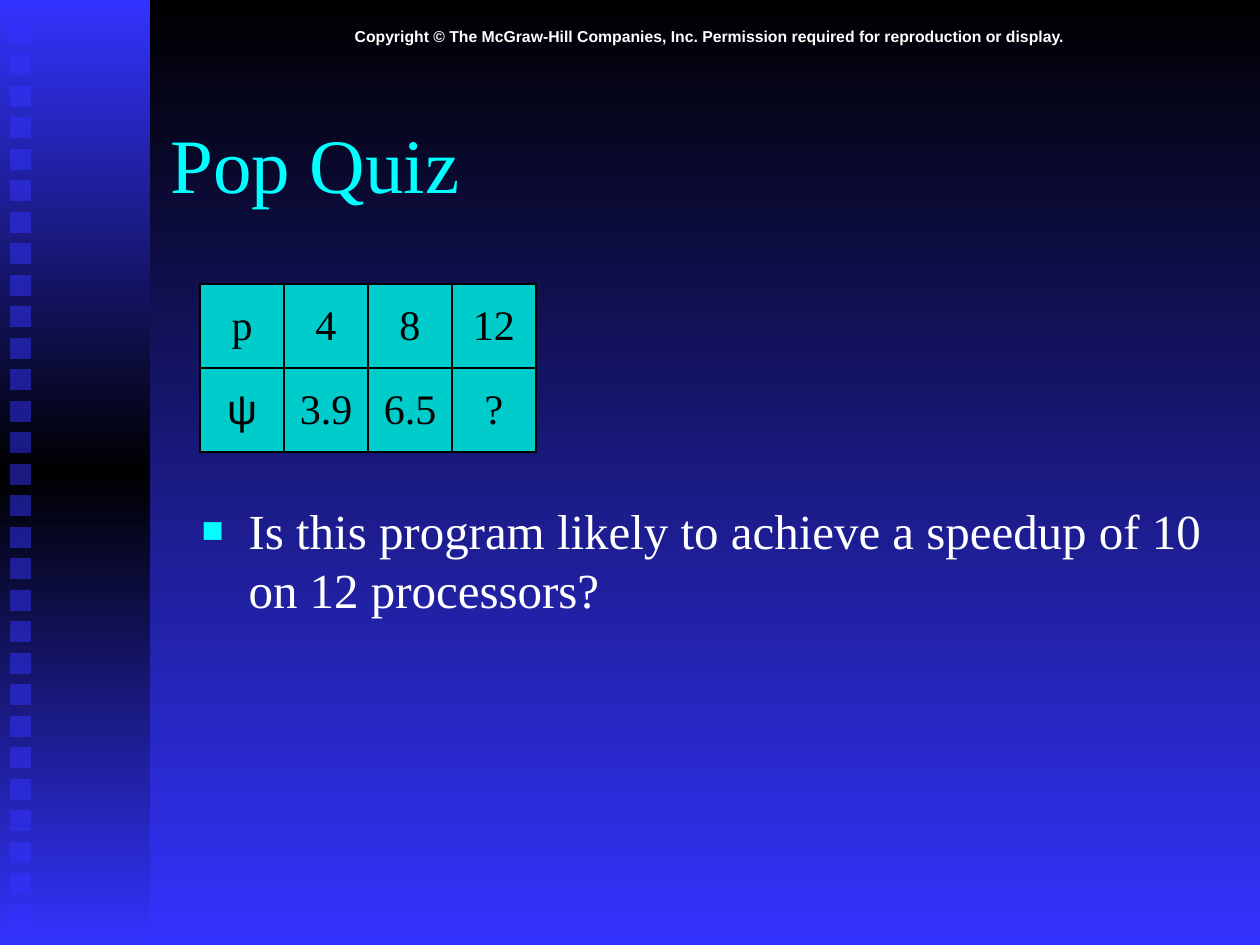
"""Build the Pop Quiz slide on speedup and processor counts."""
from copy import deepcopy

from lxml.etree import SubElement
from pptx import Presentation
from pptx.dml.color import RGBColor
from pptx.enum.shapes import MSO_SHAPE
from pptx.enum.text import MSO_ANCHOR, MSO_AUTO_SIZE, PP_ALIGN
from pptx.oxml import parse_xml
from pptx.oxml.ns import nsdecls, qn
from pptx.util import Emu, Pt

BLUE = RGBColor(0x33, 0x33, 0xFF)
BLACK = RGBColor(0, 0, 0)
WHITE = RGBColor(0xFF, 0xFF, 0xFF)
CYAN = RGBColor(0, 0xFF, 0xFF)
TEAL = RGBColor(0, 0xCC, 0xCC)
SERIF = "Times New Roman"
SANS = "Arial"


def px(*lengths):
    return [Emu(round(length * 914400 / 126)) for length in lengths]


def style(para, font_name, size, color, align, bold=False):
    para.alignment = align
    for span in para.runs:
        span.font.name = font_name
        span.font.size = Pt(size)
        span.font.color.rgb = color
        span.font.bold = bold


deck = Presentation()
deck.slide_width, deck.slide_height = px(1260, 945)
page = deck.slides.add_slide(deck.slide_layouts[1])

backdrop = page.background.fill
backdrop.gradient()
backdrop.gradient_angle = 270
for stop, color in zip(backdrop.gradient_stops, (BLACK, BLUE)):
    stop.color.rgb = color

sidebar = page.shapes.add_shape(MSO_SHAPE.RECTANGLE, *px(0, 0, 150, 945))
sidebar.shadow.inherit = False
sidebar.line.fill.background()
sidebar.fill.gradient()
sidebar.fill.gradient_angle = 270
stop_list = sidebar.element.xpath(".//a:gsLst")[0]
stop_list.append(deepcopy(stop_list[0]))
for stop, position, color in zip(sidebar.fill.gradient_stops, (0, 0.5, 1), (BLUE, BLACK, BLUE)):
    stop.position = position
    stop.color.rgb = color

for index in range(29):
    square = page.shapes.add_shape(MSO_SHAPE.RECTANGLE, *px(10, 23 + 63 * index // 2, 21, 21))
    square.shadow.inherit = False
    square.line.fill.background()
    square.fill.solid()
    square.fill.fore_color.rgb = BLUE
    SubElement(square.element.xpath("./p:spPr/a:solidFill/a:srgbClr")[0], qn("a:alpha"), val="50000")

notice = page.shapes.add_textbox(*px(158, 21, 1102, 32))
notice.text_frame.word_wrap = True
notice.text_frame.text = (
    "Copyright © The McGraw-Hill Companies, Inc. Permission required for reproduction or display."
)
style(notice.text_frame.paragraphs[0], SANS, 9, WHITE, PP_ALIGN.CENTER, bold=True)

title = page.shapes.title
title.left, title.top, title.width, title.height = px(158, 84, 1071, 158)
title.text_frame.text = "Pop Quiz"
title.text_frame.auto_size = MSO_AUTO_SIZE.NONE
title.text_frame.vertical_anchor = MSO_ANCHOR.MIDDLE
style(title.text_frame.paragraphs[0], SERIF, 44, CYAN, PP_ALIGN.LEFT)

question = page.placeholders[1]
question.left, question.top, question.width, question.height = px(189, 494, 1071, 132)
question.text_frame.text = "Is this program likely to achieve a speedup of 10 on 12 processors?"
question.text_frame.auto_size = MSO_AUTO_SIZE.NONE
para = question.text_frame.paragraphs[0]
para.space_before = Pt(0)
properties = para._p.get_or_add_pPr()
indent = px(47)[0]
properties.set("marL", str(indent))
properties.set("indent", str(-indent))
bullet_color = SubElement(properties, qn("a:buClr"))
SubElement(bullet_color, qn("a:srgbClr"), val=str(CYAN))
SubElement(properties, qn("a:buSzPct"), val="75000")
SubElement(properties, qn("a:buFont"), typeface=SANS)
SubElement(properties, qn("a:buChar"), char="■")
style(para, SERIF, 28, WHITE, PP_ALIGN.LEFT)

speedups = (("p", "4", "8", "12"), ("ψ", "3.9", "6.5", "?"))
table = page.shapes.add_table(2, 4, *px(200, 284, 336, 168)).table
table.first_row = False
table.horz_banding = False
for row, values in enumerate(speedups):
    for column, value in enumerate(values):
        cell = table.cell(row, column)
        cell.text_frame.text = value
        cell.vertical_anchor = MSO_ANCHOR.MIDDLE
        for side in ("lnL", "lnR", "lnT", "lnB"):
            cell._tc.get_or_add_tcPr().append(parse_xml(
                f'<a:{side} {nsdecls("a")} w="9525"><a:solidFill>'
                f'<a:srgbClr val="{BLACK}"/></a:solidFill></a:{side}>'
            ))
        cell.fill.solid()
        cell.fill.fore_color.rgb = TEAL
        font_name = SANS if value == "ψ" else SERIF
        style(cell.text_frame.paragraphs[0], font_name, 24, BLACK, PP_ALIGN.CENTER)

deck.save("out.pptx")
